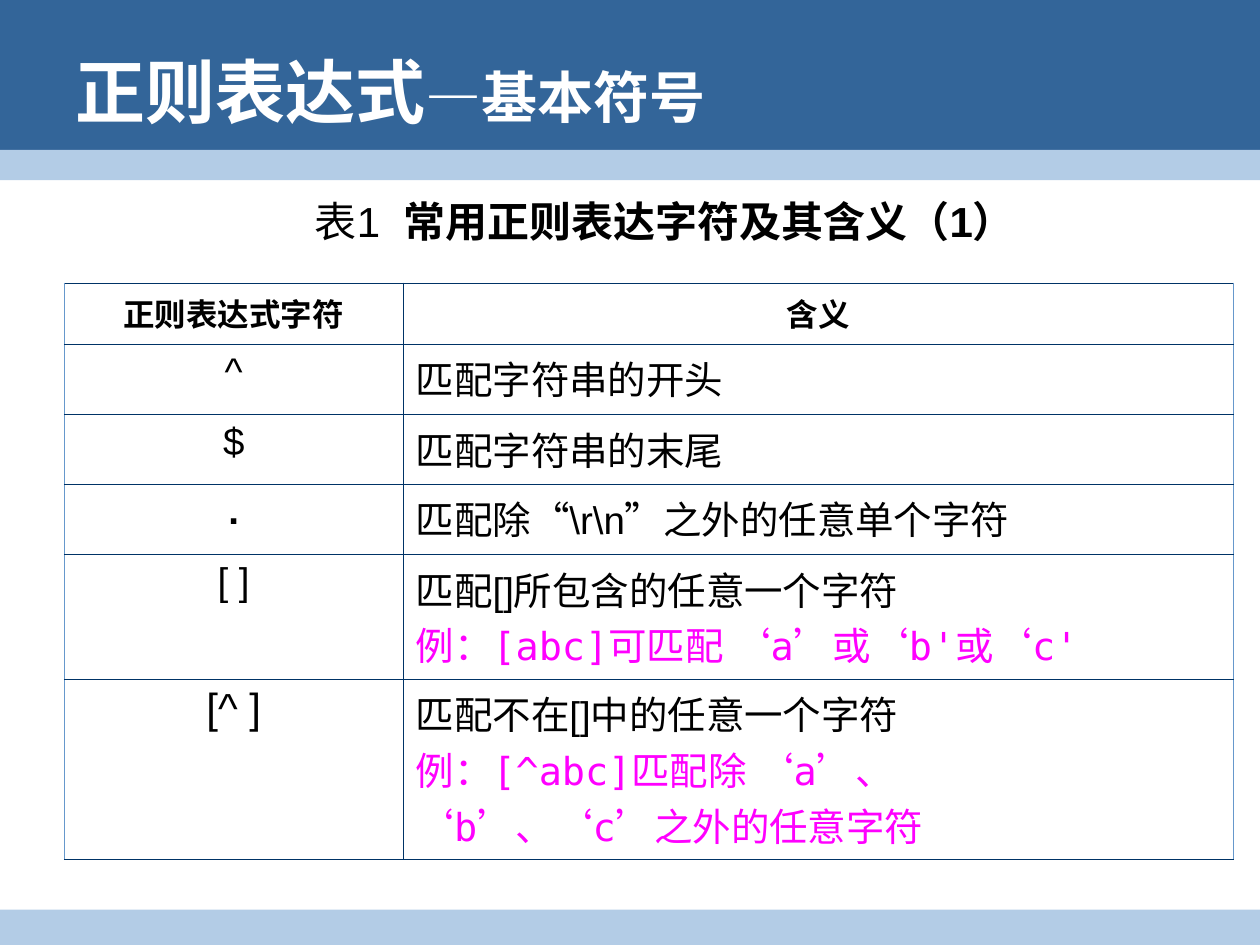
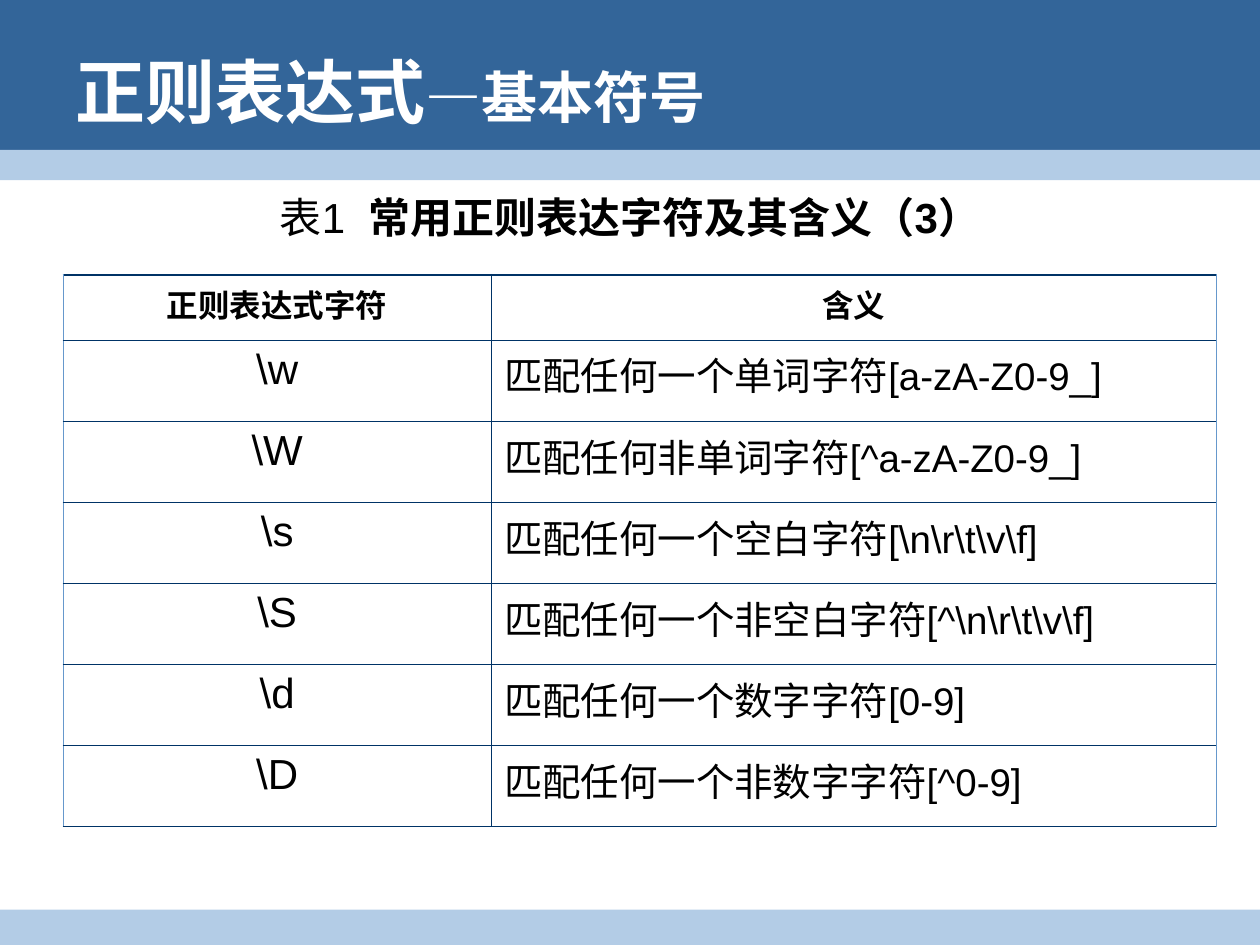
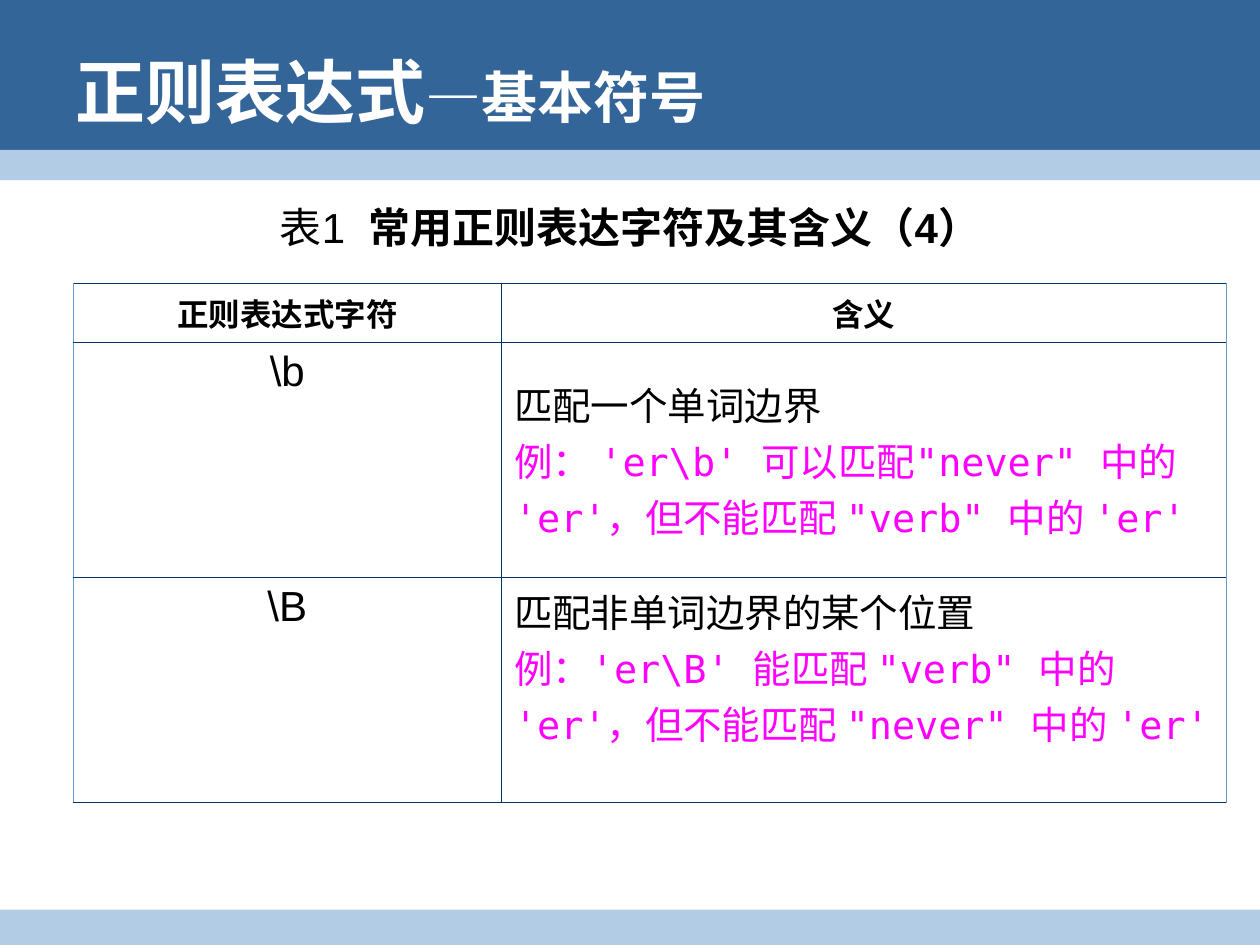
from lxml.etree import SubElement
from pptx import Presentation
from pptx.dml.color import RGBColor
from pptx.enum.shapes import MSO_SHAPE
from pptx.enum.text import MSO_ANCHOR, PP_ALIGN
from pptx.oxml.ns import qn
from pptx.util import Inches, Pt

BLUE, PALE, NAVY, EDGE = "336599", "B3CCE6", "003366", "6698CC"
WHITE, BLACK, PINK = "FFFFFF", "000000", "FF00FF"
SANS, MONO = "Arial", "DejaVu Sans Mono"

BANDS = [(0, 1.31, BLUE), (1.19, 0.24, PALE), (7.22, 0.28, PALE)]
HEAD = {"name": SANS, "size": Pt(40), "bold": True, "color": WHITE}
CAP = {"name": SANS, "size": Pt(24), "bold": False, "color": BLACK}
LABEL = CAP | {"size": Pt(18), "bold": True}
BODY = CAP | {"size": Pt(22)}
DEMO = BODY | {"name": MONO, "color": PINK}


def tint(code):
    """Turn a hex string into a colour."""
    return RGBColor.from_string(code)


def write(par, text, style):
    """Add styled text, with a line break at each newline."""
    for spot, piece in enumerate(text.split("\n")):
        if spot:
            par.add_line_break()
        run = par.add_run()
        run.text = piece
        for key, value in style.items():
            if key == "color":
                run.font.color.rgb = tint(value)
            else:
                setattr(run.font, key, value)


def add_text(slide, box, parts, align=PP_ALIGN.LEFT, anchor=MSO_ANCHOR.TOP):
    """Place one paragraph of (text, style) parts in a box."""
    frame = slide.shapes.add_textbox(*map(Inches, box)).text_frame
    frame.word_wrap = True
    frame.vertical_anchor = anchor
    par = frame.paragraphs[0]
    par.alignment = align
    for text, style in parts:
        write(par, text, style)


def add_frame(slide):
    """Draw the bands and the title that every slide has."""
    for top, high, code in BANDS:
        band = slide.shapes.add_shape(
            MSO_SHAPE.RECTANGLE, 0, Inches(top), Inches(10), Inches(high))
        band.shadow.inherit = False
        band.fill.solid()
        band.fill.fore_color.rgb = tint(code)
        band.line.fill.background()
    parts = [("正则表达式", HEAD), ("—基本符号", HEAD | {"size": Pt(32)})]
    add_text(slide, (0.5, 0.17, 9, 1.1), parts, anchor=MSO_ANCHOR.MIDDLE)


def add_edges(cell, first, left):
    """Rule the four sides of a cell."""
    sides = [("L", EDGE if left else NAVY, 0.45),
             ("R", NAVY if left else EDGE, 0.45),
             ("T", NAVY, 1.08 if first else 0.34),
             ("B", NAVY, 0.34)]
    props = cell._tc.get_or_add_tcPr()
    for spot, (side, code, width) in enumerate(sides):
        line = SubElement(props, qn("a:ln" + side), w=str(int(Pt(width))))
        fill = SubElement(line, qn("a:solidFill"))
        SubElement(fill, qn("a:srgbClr"), val=code)
        props.insert(spot, line)


def fill_cell(cell, lines, align, first, left):
    """Write (text, style) lines into a cell, one paragraph each."""
    cell.fill.background()
    add_edges(cell, first, left)
    frame = cell.text_frame
    for spot, (text, style) in enumerate(lines):
        par = frame.add_paragraph() if spot else frame.paragraphs[0]
        par.alignment = align
        write(par, text, style)


def add_grid(slide, spot, cols, head, rows):
    """Build the table of symbols and meanings at a spot."""
    highs = [head] + [row[0] for row in rows]
    box = (*spot, sum(cols), sum(highs))
    table = slide.shapes.add_table(
        len(highs), 2, *map(Inches, box)).table
    table.first_row = table.horz_banding = False
    for col, wide in zip(table.columns, cols):
        col.width = Inches(wide)
    for row, high in zip(table.rows, highs):
        row.height = Inches(high)
    mid = PP_ALIGN.CENTER
    for col, text in enumerate(["正则表达式字符", "含义"]):
        fill_cell(table.cell(0, col), [(text, LABEL)], mid, True, col == 0)
    for spot, (_, sign, look, *notes) in enumerate(rows, 1):
        lines = list(zip(notes, [BODY, DEMO]))
        fill_cell(table.cell(spot, 0), [(sign, look)], mid, False, True)
        fill_cell(table.cell(spot, 1), lines, PP_ALIGN.LEFT, False, False)
    return table


def add_page(deck, part, spot, align, grid, cols, head, rows):
    """Make a slide with its frame, caption and table."""
    slide = deck.slides.add_slide(deck.slide_layouts[6])
    add_frame(slide)
    table = add_grid(slide, grid, cols, head, rows)
    parts = [("表1  ", CAP),
             (f"常用正则表达字符及其含义（{part}）", CAP | {"bold": True})]
    add_text(slide, (*spot, 6.22, 0.5), parts, align)
    return table


BASIC = [
    (0.56, "^", BODY, "匹配字符串的开头"),
    (0.55, "$", BODY, "匹配字符串的末尾"),
    (0.56, ".", BODY | {"bold": True}, "匹配除“\\r\\n”之外的任意单个字符"),
    (0.99, "[ ]", BODY, "匹配[]所包含的任意一个字符",
     "例：[abc]可匹配 ‘a’或‘b'或‘c'"),
    (1.43, "[^ ]", CAP, "匹配不在[]中的任意一个字符",
     "例：[^abc]匹配除 ‘a’、 \n‘b’、‘c’之外的任意字符"),
]
KINDS = [(3.86 / 6, sign, CAP, "匹配任何" + note) for sign, note in [
    ("\\w", "一个单词字符[a-zA-Z0-9_]"),
    ("\\W", "非单词字符[^a-zA-Z0-9_]"),
    ("\\s", "一个空白字符[\\n\\r\\t\\v\\f]"),
    ("\\S", "一个非空白字符[^\\n\\r\\t\\v\\f]"),
    ("\\d", "一个数字字符[0-9]"),
    ("\\D", "一个非数字字符[^0-9]"),
]]
BOUNDS = [
    (1.86, "\\b", CAP, "匹配一个单词边界",
     "例： 'er\\b' 可以匹配\"never\" 中的 'er'，但不能匹配 \"verb\" 中的 'er'"),
    (1.79, "\\B", CAP, "匹配非单词边界的某个位置",
     "例：'er\\B' 能匹配 \"verb\" 中的 'er'，但不能匹配 \"never\" 中的 'er'"),
]

deck = Presentation()
deck.slide_width, deck.slide_height = Inches(10), Inches(7.5)
wide = (3.4, 5.75)
add_page(deck, 1, (2.4, 1.5), PP_ALIGN.LEFT,
         (0.51, 2.25), (2.69, 6.59), 0.48, BASIC)
add_page(deck, 3, (1.89, 1.47), PP_ALIGN.CENTER,
         (0.5, 2.18), wide, 0.52, KINDS)
table = add_page(deck, 4, (1.89, 1.55), PP_ALIGN.CENTER,
                 (0.58, 2.25), wide, 0.47, BOUNDS)
table.cell(1, 1).vertical_anchor = MSO_ANCHOR.MIDDLE
deck.save("out.pptx")
